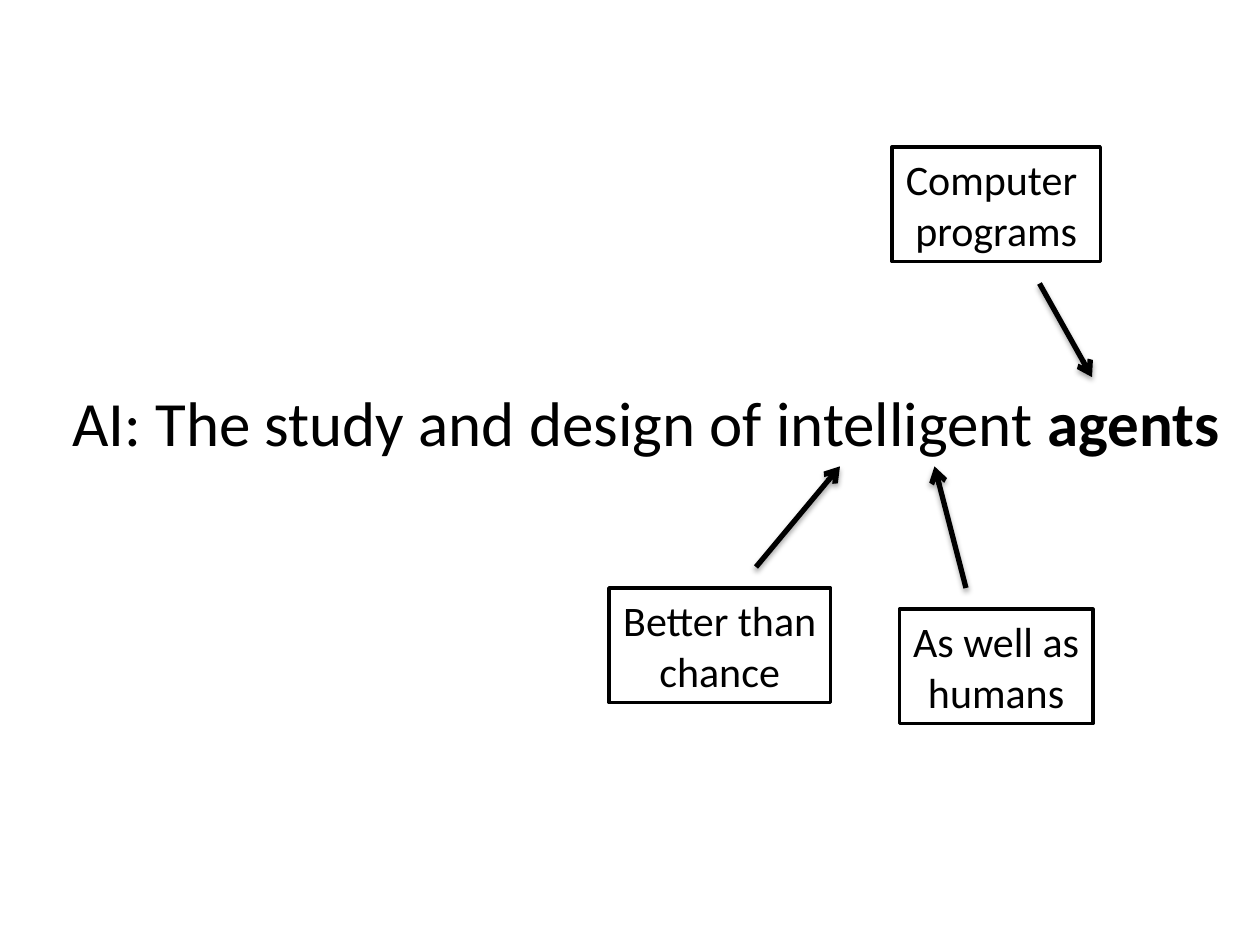
from lxml import etree
from pptx import Presentation
from pptx.dml.color import RGBColor
from pptx.enum import shapes, text
from pptx.oxml.ns import qn
from pptx.util import Pt

BLACK = RGBColor(0, 0, 0)
WHITE = RGBColor(255, 255, 255)
FONT = "Calibri"
NOTE_HEIGHT = 65.5

# left, top, width, lines
NOTES = [
    (509.8, 84, 119, ["Computer ", "programs"]),
    (348, 336, 126.5, ["Better than", "chance"]),
    (514, 348, 110.5, ["As well as", "humans"]),
]
# start x, start y, end x, end y
ARROWS = [
    (594, 162, 624, 215.5),
    (432, 324, 480, 266.5),
    (552, 336, 534, 266.5),
]


def add_span(para, wording, size, bold=False):
    span = para.add_run()
    span.text = wording
    values = {"name": FONT, "size": Pt(size), "bold": bold}
    for name, value in values.items():
        setattr(span.font, name, value)
    span.font.color.rgb = BLACK


def place(shape, left, top, width, height):
    values = {"left": left, "top": top, "width": width, "height": height}
    for name, value in values.items():
        setattr(shape, name, Pt(value))


def fill_statement(title):
    place(title, -12, 215.5, 762, 51)
    title.text_frame.auto_size = text.MSO_AUTO_SIZE.SHAPE_TO_FIT_TEXT
    para = title.text_frame.paragraphs[0]
    para.alignment = text.PP_ALIGN.CENTER
    add_span(para, "AI: The study and design of intelligent ", 36)
    add_span(para, "agents", 36, bold=True)


def add_note(page, left, top, width, lines):
    box = page.shapes.add_shape(
        shapes.MSO_SHAPE.RECTANGLE, Pt(left), Pt(top), Pt(width), Pt(NOTE_HEIGHT)
    )
    box.shadow.inherit = False
    box.fill.solid()
    box.fill.fore_color.rgb = WHITE
    box.line.color.rgb = BLACK
    box.line.width = Pt(2)
    frame = box.text_frame
    frame.word_wrap = False
    frame.auto_size = text.MSO_AUTO_SIZE.SHAPE_TO_FIT_TEXT
    for index, line in enumerate(lines):
        para = frame.add_paragraph() if index else frame.paragraphs[0]
        para.alignment = text.PP_ALIGN.CENTER
        add_span(para, line, 24)


def add_shadow(properties):
    """Append a soft shadow that falls straight down."""
    effects = etree.SubElement(properties, qn("a:effectLst"))
    shadow = etree.SubElement(
        effects,
        qn("a:outerShdw"),
        blurRad=str(Pt(3.1)),
        dist=str(Pt(1.8)),
        dir="5400000",
        rotWithShape="0",
    )
    color = etree.SubElement(shadow, qn("a:srgbClr"), val=str(BLACK))
    etree.SubElement(color, qn("a:alpha"), val="35000")


def add_arrow(page, *ends):
    arrow = page.shapes.add_connector(
        shapes.MSO_CONNECTOR.STRAIGHT, *(Pt(value) for value in ends)
    )
    arrow.line.color.rgb = BLACK
    arrow.line.width = Pt(3)
    properties = arrow._element.spPr
    etree.SubElement(properties.find(qn("a:ln")), qn("a:tailEnd"), type="arrow")
    add_shadow(properties)


def main():
    deck = Presentation()
    deck.slide_width, deck.slide_height = Pt(720), Pt(540)
    page = deck.slides.add_slide(deck.slide_layouts[5])
    fill_statement(page.shapes.title)
    for note, arrow in zip(NOTES, ARROWS):
        add_note(page, *note)
        add_arrow(page, *arrow)
    deck.save("out.pptx")


if __name__ == "__main__":
    main()
